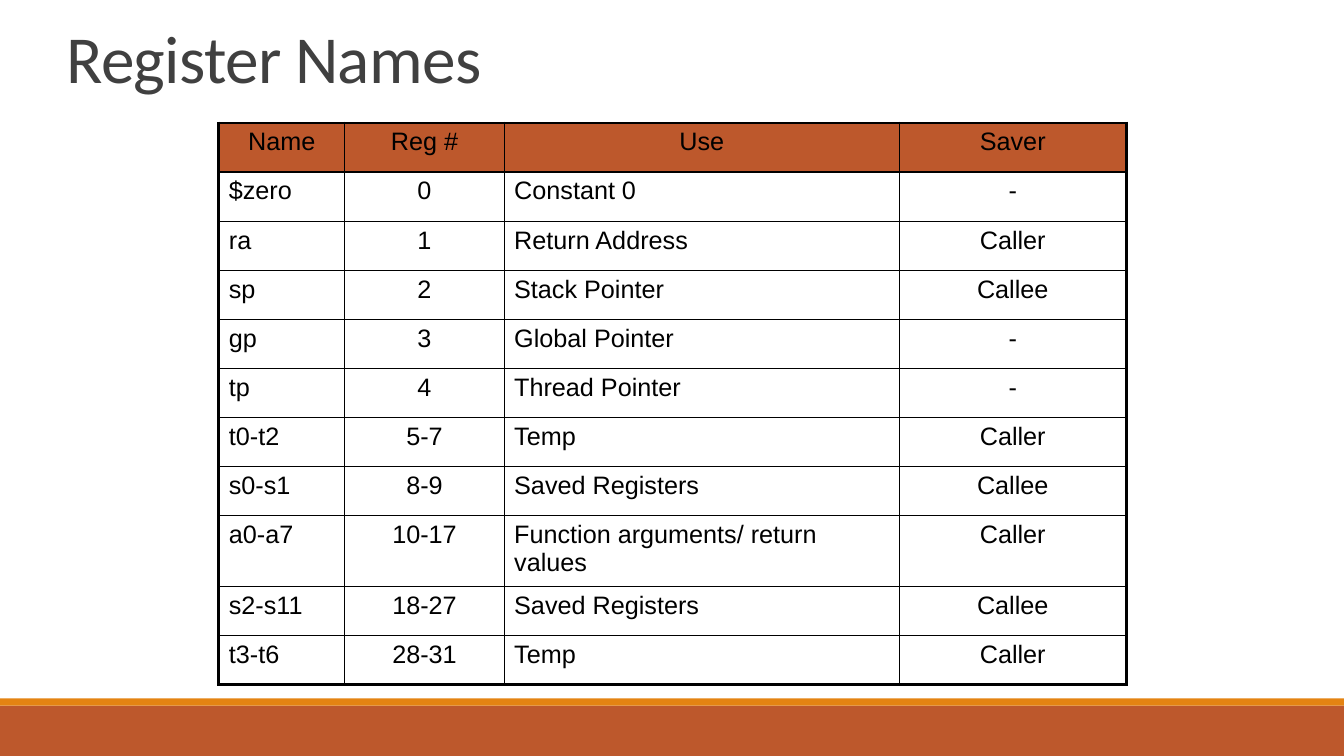
from dataclasses import dataclass

from lxml.etree import SubElement
from pptx import Presentation
from pptx.dml.color import RGBColor
from pptx.enum.shapes import MSO_SHAPE as Shape
from pptx.enum.text import MSO_ANCHOR as Anchor, PP_ALIGN as Align
from pptx.oxml.ns import qn
from pptx.util import Inches, Pt

RUST, ORANGE, GREY, BLACK = "BD582C", "E48312", "404040", "000000"
THIN, THICK = 1, 2.25


@dataclass
class Band:
    top: float
    height: float
    color: str


@dataclass
class Column:
    heading: str
    width: float
    align: Align


BANDS = [Band(7, 0.5, RUST), Band(6.93, 0.07, ORANGE)]
COLUMNS = [
    Column("Name", 1.25, Align.LEFT),
    Column("Reg #", 1.58, Align.CENTER),
    Column("Use", 3.92, Align.LEFT),
    Column("Saver", 2.25, Align.CENTER),
]
REGISTERS = [
    ("$zero", "0", "Constant 0", "-"),
    ("ra", "1", "Return Address", "Caller"),
    ("sp", "2", "Stack Pointer", "Callee"),
    ("gp", "3", "Global Pointer", "-"),
    ("tp", "4", "Thread Pointer", "-"),
    ("t0-t2", "5-7", "Temp", "Caller"),
    ("s0-s1", "8-9", "Saved Registers", "Callee"),
    ("a0-a7", "10-17", "Function arguments/ return values", "Caller"),
    ("s2-s11", "18-27", "Saved Registers", "Callee"),
    ("t3-t6", "28-31", "Temp", "Caller"),
]


def rgb(color: str) -> RGBColor:
    return RGBColor.from_string(color)


def write(frame, text: str, *, font: str, size: float, color: str,
          align: Align = Align.LEFT, line_spacing: float = 1.0,
          tracking: float = 0) -> None:
    para = frame.paragraphs[0]
    para.alignment = align
    para.line_spacing = line_spacing
    span = para.add_run()
    span.text = text
    span.font.name = font
    span.font.size = Pt(size)
    span.font.color.rgb = rgb(color)
    if tracking:
        span.font._element.set("spc", str(round(tracking * 100)))


def draw_band(page, band: Band, width: int) -> None:
    box = page.shapes.add_shape(Shape.RECTANGLE, 0, Inches(band.top),
                                width, Inches(band.height))
    box.shadow.inherit = False
    box.fill.solid()
    box.fill.fore_color.rgb = rgb(band.color)
    box.line.fill.background()


def draw_title(page, text: str) -> None:
    box = page.shapes.add_textbox(Inches(0.61), Inches(0.24), Inches(9), Inches(1.2))
    frame = box.text_frame
    frame.word_wrap = True
    frame.vertical_anchor = Anchor.TOP
    frame.margin_left = Inches(0.05)
    write(frame, text, font="Calibri", size=48, color=GREY,
          line_spacing=0.85, tracking=-0.5)


def set_borders(cell, **widths: float) -> None:
    properties = cell._tc.get_or_add_tcPr()
    for position, side in enumerate(("L", "R", "T", "B")):
        line = SubElement(properties, qn(f"a:ln{side}"), w=str(Pt(widths[side])))
        fill = SubElement(line, qn("a:solidFill"))
        SubElement(fill, qn("a:srgbClr"), val=BLACK)
        properties.remove(line)
        properties.insert(position, line)  # borders precede the cell fill


def draw_table(page) -> None:
    rows = [tuple(column.heading for column in COLUMNS), *REGISTERS]
    width = sum(column.width for column in COLUMNS)
    table = page.shapes.add_table(len(rows), len(COLUMNS), Inches(2.17), Inches(1.22),
                                  Inches(width), Inches(5.36)).table
    table.first_row = table.horz_banding = False
    last_row, last_column = len(rows) - 1, len(COLUMNS) - 1

    for c, column in enumerate(COLUMNS):
        table.columns[c].width = Inches(column.width)
        for r, row in enumerate(rows):
            cell = table.cell(r, c)
            if r == 0:
                cell.fill.solid()
                cell.fill.fore_color.rgb = rgb(RUST)
            else:
                cell.fill.background()
            write(cell.text_frame, row[c], font="Arial", size=18, color=BLACK,
                  align=Align.CENTER if r == 0 else column.align)
            set_borders(cell,
                        L=THICK if c == 0 else THIN,
                        R=THICK if c == last_column else THIN,
                        T=THICK if r == 0 else THIN,
                        B=THICK if r == last_row else THIN)


def main() -> None:
    deck = Presentation()
    deck.slide_width, deck.slide_height = Inches(13.33), Inches(7.5)
    page = deck.slides.add_slide(deck.slide_layouts[6])

    # Footer bands
    for band in BANDS:
        draw_band(page, band, deck.slide_width)

    # Title and register table
    draw_title(page, "Register Names")
    draw_table(page)

    deck.save("out.pptx")


if __name__ == "__main__":
    main()
